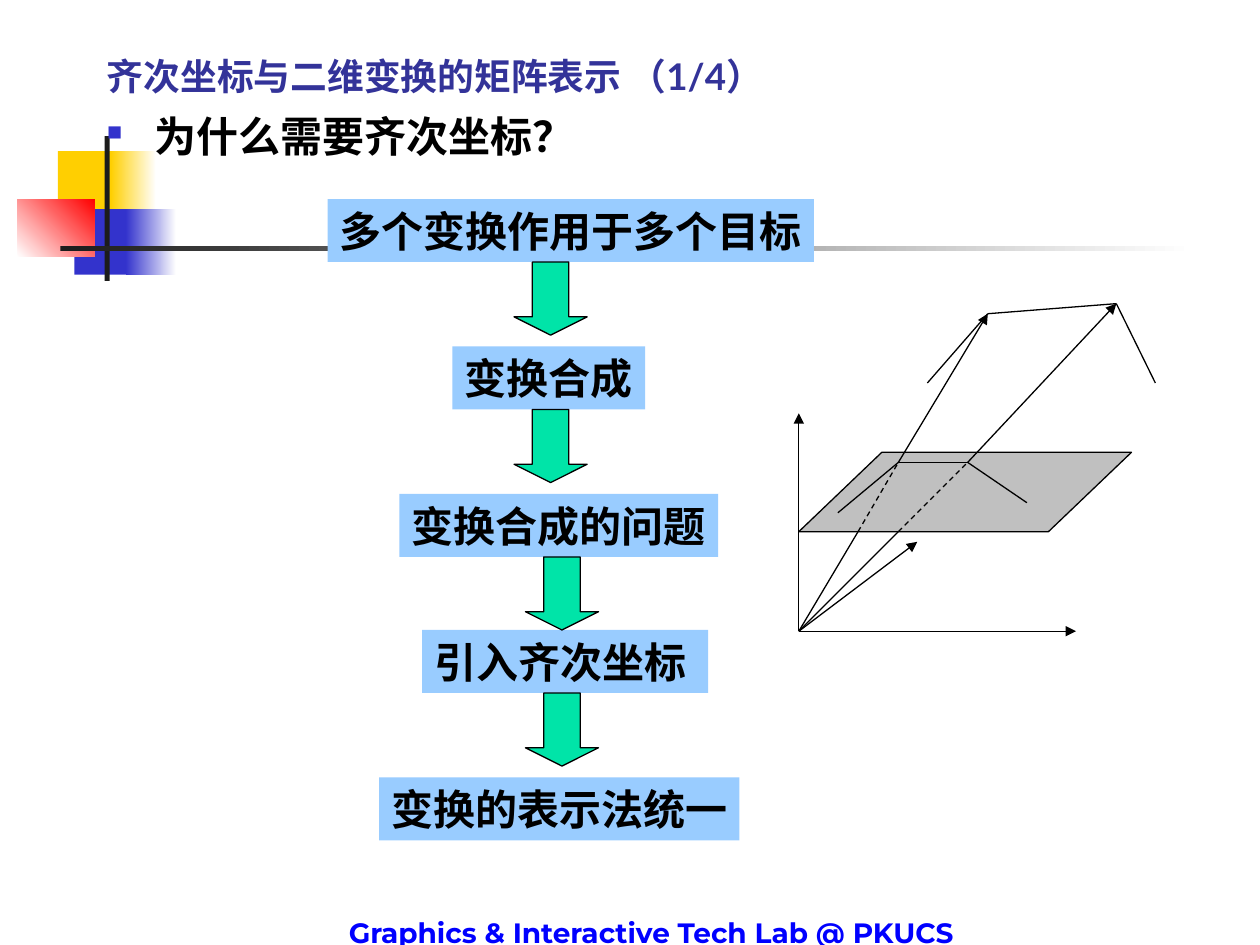
from lxml import etree
from pptx import Presentation
from pptx import util as u
from pptx.dml.color import RGBColor
from pptx.enum import dml, shapes, text
from pptx.oxml.ns import qn

COLORS = {
    "black": "000000", "white": "FFFFFF", "yellow": "FFCF01", "blue": "3333CC",
    "red": "FF0000", "ink": "1C1C1C", "title": "333399", "footer": "0000FF",
    "step": "99CCFF", "arrow": "00E4A8", "plane": "C0C0C0",
}


def rgb(name):
    return RGBColor.from_string(COLORS[name])


def write_text(frame, content, size=24, font="Times New Roman", color="black",
               wrap=True, anchor=text.MSO_ANCHOR.TOP, align=text.PP_ALIGN.LEFT,
               bullet=None):
    frame.word_wrap = wrap
    frame.vertical_anchor = anchor
    paragraph = frame.paragraphs[0]
    paragraph.alignment = align
    if bullet:
        properties = paragraph._p.get_or_add_pPr()
        properties.set("marL", str(u.Inches(0.38)))
        properties.set("indent", str(-u.Inches(0.38)))
        bullet_color = etree.SubElement(properties, qn("a:buClr"))
        etree.SubElement(bullet_color, qn("a:srgbClr"), val=COLORS["blue"])
        etree.SubElement(properties, qn("a:buSzPct"), val="50000")
        etree.SubElement(properties, qn("a:buChar"), char=bullet)
    run = paragraph.add_run()
    run.text = content
    run.font.size = u.Pt(size)
    run.font.name = font
    run.font.bold = True
    run.font.color.rgb = rgb(color)


class SlideBuilder:
    line_width = u.Pt(0.75)

    def __init__(self, slide):
        self.slide = slide

    def shape(self, kind, box, fill, outlined=False, adjustments=()):
        shape = self.slide.shapes.add_shape(kind, *map(u.Inches, box))
        shape.shadow.inherit = False
        for index, value in enumerate(adjustments):
            shape.adjustments[index] = value
        shape.fill.solid()
        shape.fill.fore_color.rgb = rgb(fill)
        if outlined:
            shape.line.color.rgb = rgb("black")
            shape.line.width = self.line_width
        else:
            shape.line.fill.background()
        return shape

    def rectangle(self, box, fill):
        return self.shape(shapes.MSO_SHAPE.RECTANGLE, box, fill)

    def gradient(self, box, start, end, angle=0):
        fill = self.rectangle(box, start).fill
        fill.gradient()
        fill.gradient_angle = angle
        for stop, color, position in zip(fill.gradient_stops, (start, end), (0, 1)):
            stop.color.rgb = rgb(color)
            stop.position = position

    def text_box(self, box, content, **style):
        shape = self.slide.shapes.add_textbox(*map(u.Inches, box))
        write_text(shape.text_frame, content, **style)

    def step(self, box, content):
        shape = self.rectangle(box, "step")
        shape.text_frame.margin_right = 0
        write_text(shape.text_frame, content)

    def down_arrow(self, left, top):
        self.shape(shapes.MSO_SHAPE.DOWN_ARROW, (left, top, 0.58, 0.58), "arrow",
                   outlined=True, adjustments=(0.5, 0.25))

    def line(self, start, end, arrow=False, dashed=False):
        connector = self.slide.shapes.add_connector(
            shapes.MSO_CONNECTOR.STRAIGHT, *map(u.Inches, start + end))
        connector.line.color.rgb = rgb("black")
        connector.line.width = self.line_width
        if dashed:
            connector.line.dash_style = dml.MSO_LINE.DASH
        if arrow:
            etree.SubElement(connector.line._get_or_add_ln(), qn("a:tailEnd"),
                             type="triangle")
        etree.SubElement(connector._element.spPr, qn("a:effectLst"))


def draw_background(builder):
    builder.rectangle((0.46, 1.2, 0.48, 0.52), "yellow")
    builder.gradient((0.88, 1.2, 0.36, 0.52), "yellow", "white")
    builder.rectangle((0.59, 1.66, 0.46, 0.52), "blue")
    builder.gradient((1, 1.66, 0.4, 0.52), "blue", "white")
    builder.gradient((0.14, 1.58, 0.61, 0.46), "white", "red", angle=45)
    builder.rectangle((0.83, 1.08, 0.04, 1.15), "ink")
    builder.gradient((0.48, 1.95, 9, 0.04), "ink", "white")
    builder.text_box((2.17, 7.22, 6, 0.16), "Graphics & Interactive Tech Lab @ PKUCS",
                     size=16, font="Montserrat", color="footer",
                     align=text.PP_ALIGN.CENTER)


def draw_flow(builder):
    steps = [
        (2.6, 1.58, 3.86, "多个变换作用于多个目标"),
        (3.59, 2.75, 1.53, "变换合成"),
        (3.17, 3.92, 2.53, "变换合成的问题"),
        (3.35, 5, 2.27, "引入齐次坐标"),
        (3.01, 6.17, 2.86, "变换的表示法统一"),
    ]
    height = 0.5
    for left, top, width, content in steps:
        builder.step((left, top, width, height), content)
    for arrow_left, step in zip((4.08, 4.08, 4.17, 4.17), steps):
        builder.down_arrow(arrow_left, step[1] + height)


def draw_projection(builder):
    origin = (6.34, 5.01)
    near_image, far_image = (7.13, 3.67), (7.68, 3.67)
    near_point, far_point = (7.84, 2.49), (8.86, 2.41)
    near_edge, far_edge = (6.81, 4.22), (7.13, 4.22)

    for axis_end in ((8.54, 5.01), (7.28, 4.3), (6.34, 3.28)):
        builder.line(origin, axis_end, arrow=True)
    builder.shape(shapes.MSO_SHAPE.PARALLELOGRAM, (6.34, 3.59, 2.64, 0.63), "plane",
                  outlined=True, adjustments=(1.046,))
    for polyline in (
        ((7.36, 3.04), near_point, far_point, (9.17, 3.04)),
        ((6.65, 4.07), near_image, far_image, (8.15, 3.99)),
    ):
        for start, end in zip(polyline, polyline[1:]):
            builder.line(start, end)
    for edge, image, point in (
        (near_edge, near_image, near_point),
        (far_edge, far_image, far_point),
    ):
        builder.line(origin, edge)
        builder.line(edge, image, dashed=True)
        builder.line(image, point, arrow=True)


def main():
    presentation = Presentation()
    presentation.slide_width = u.Inches(10)
    presentation.slide_height = u.Inches(7.5)
    builder = SlideBuilder(presentation.slides.add_slide(presentation.slide_layouts[6]))
    draw_background(builder)
    builder.text_box((0.75, 0, 8.5, 0.83), "齐次坐标与二维变换的矩阵表示 （1/4）",
                     size=21, font="Lato", color="title",
                     anchor=text.MSO_ANCHOR.BOTTOM)
    builder.text_box((0.75, 0.83, 8.5, 5.83), "为什么需要齐次坐标？",
                     font="Lato", bullet="■")
    draw_flow(builder)
    draw_projection(builder)
    presentation.save("out.pptx")


if __name__ == "__main__":
    main()
